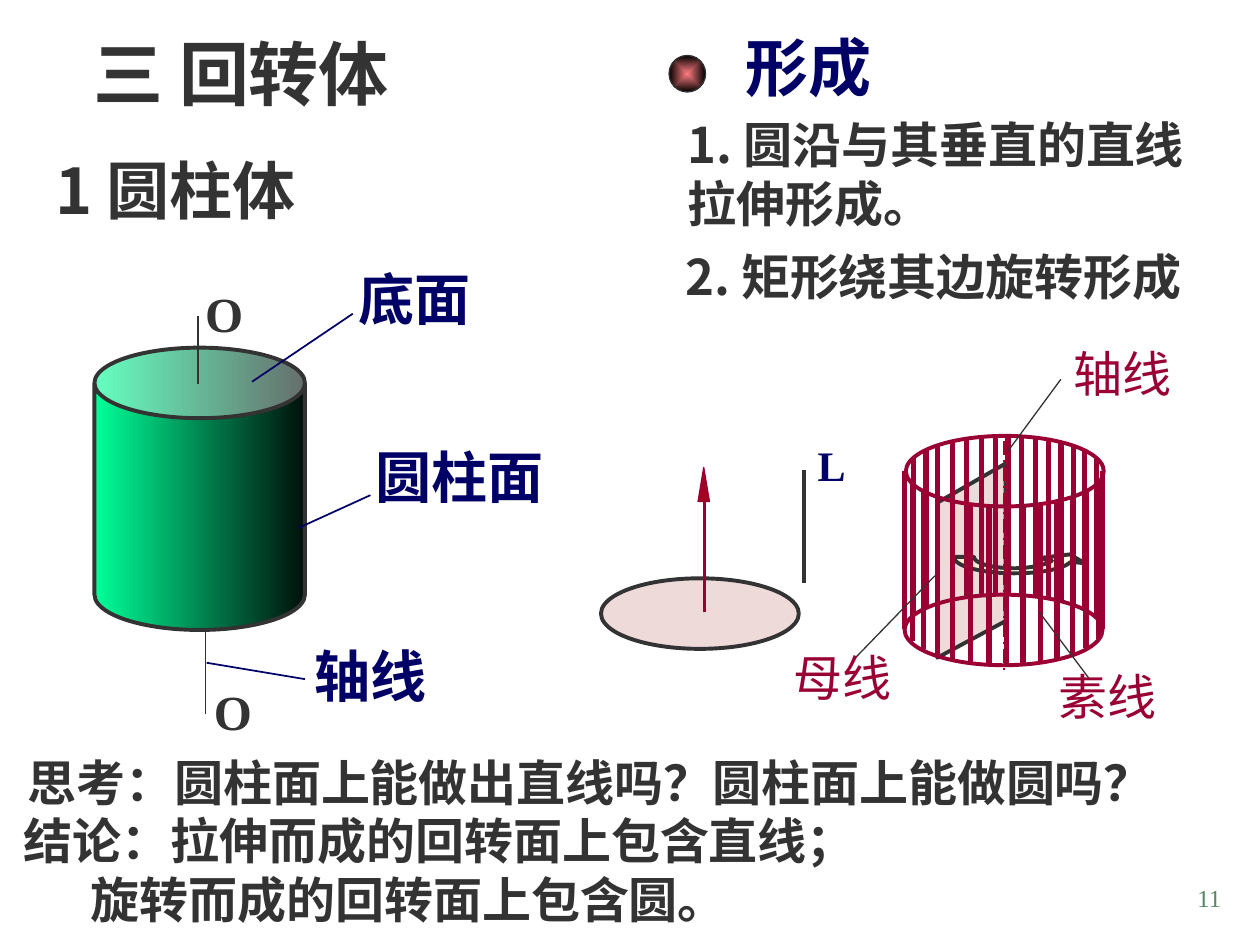
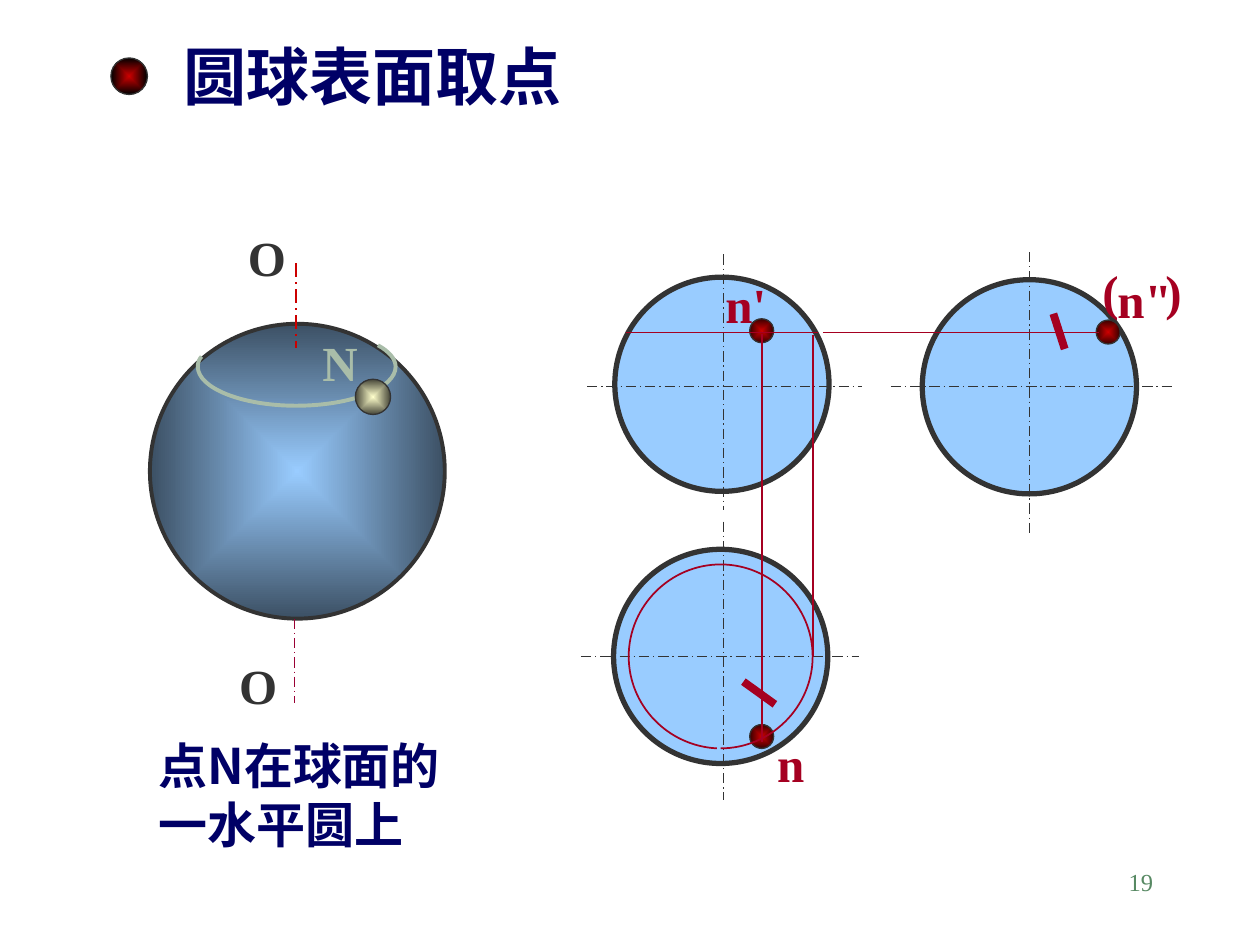
from math import sqrt

from lxml.etree import SubElement
from pptx import Presentation
from pptx.dml.color import RGBColor
from pptx.enum.dml import MSO_LINE
from pptx.enum.shapes import MSO_CONNECTOR, MSO_SHAPE
from pptx.enum.text import MSO_ANCHOR, MSO_AUTO_SIZE, PP_ALIGN
from pptx.oxml.ns import qn
from pptx.util import Pt

PX = 9144
SANS = "Noto Sans CJK SC"
SERIF = "Times New Roman"
COLORS = {
    "ink": "333333", "navy": "000066", "wine": "990033", "crimson": "A50021",
    "red": "CC0000", "pink": "E1B7B7", "coral": "FF7C80", "black": "000000",
    "green": "00FF99", "deep green": "00100A", "cream": "FFFFCC", "olive": "464638",
    "sky": "99CCFF", "slate": "3C5064", "sage": "A9BDA9", "footer": "578963",
    "dark red": "380000",
}


def write(page, spot, lines, size, ink="ink", font=SERIF, bold=True, box=None,
          align=PP_ALIGN.LEFT, indents=(0, 0), wrap=True, tab=None):
    box = box or page.shapes.add_textbox(0, 0, 0, 0)
    box.left, box.top, box.width, box.height = [value * PX for value in spot]
    frame = box.text_frame
    frame.word_wrap = wrap
    frame.auto_size = MSO_AUTO_SIZE.NONE if wrap else MSO_AUTO_SIZE.SHAPE_TO_FIT_TEXT
    frame.vertical_anchor = MSO_ANCHOR.TOP
    for index, line in enumerate(lines):
        para = frame.add_paragraph() if index else frame.paragraphs[0]
        para.alignment = align
        para.space_before = Pt(0)
        properties = para._p.get_or_add_pPr()
        properties.set("marL", str(indents[index] * PX))
        properties.set("indent", "0")
        SubElement(properties, qn("a:buNone"))
        if tab:
            stop = SubElement(SubElement(properties, qn("a:tabLst")), qn("a:tab"))
            stop.set("pos", str(tab * PX))
            stop.set("algn", "l")
        span = para.add_run()
        span.text = line
        span.font.size = Pt(size)
        span.font.bold = bold
        span.font.color.rgb = RGBColor.from_string(COLORS[ink])
        span.font.name = font
        SubElement(span._r.get_or_add_rPr(), qn("a:ea")).set("typeface", SANS)


def draw(page, kind, spot, fill=None, line="ink", width=1, alpha=None, dash=False, closed=True):
    if kind == "line":
        item = page.shapes.add_connector(MSO_CONNECTOR.STRAIGHT, *[value * PX for value in spot])
        SubElement(item._element.spPr, qn("a:effectLst"))
    else:
        if kind == "outline":
            builder = page.shapes.build_freeform(*spot[0], scale=PX)
            for step in spot[1:]:
                builder.add_line_segments(list(zip(step[::2], step[1::2])), close=False)
            if closed:
                builder.add_line_segments([], close=True)
            item = builder.convert_to_shape()
            steps = iter(list(item._element.iter(qn("a:lnTo"))))
            for step in spot[1:]:
                parts = [next(steps) for _ in step[::2]]
                if len(parts) == 3:
                    curve = SubElement(parts[0].getparent(), qn("a:cubicBezTo"))
                    parts[0].addprevious(curve)
                    for part in parts:
                        curve.append(part[0])
                        part.getparent().remove(part)
        else:
            item = page.shapes.add_shape(kind, *[value * PX for value in spot])
        item.shadow.inherit = False
        if fill is None:
            item.fill.background()
        elif isinstance(fill, tuple):
            item.fill.gradient()
            item.fill.gradient_angle = 0
            for stop, color in zip(item.fill.gradient_stops, fill):
                stop.color.rgb = RGBColor.from_string(COLORS[color])
            if kind == MSO_SHAPE.OVAL:
                gradient = item._element.spPr.find(qn("a:gradFill"))
                gradient.remove(gradient.find(qn("a:lin")))
                shade = SubElement(gradient, qn("a:path"))
                shade.set("path", "shape")
                focus = SubElement(shade, qn("a:fillToRect"))
                for side in "ltrb":
                    focus.set(side, "50000")
        else:
            item.fill.solid()
            item.fill.fore_color.rgb = RGBColor.from_string(COLORS[fill])
            if alpha:
                color = item._element.spPr.find(qn("a:solidFill"))[0]
                SubElement(color, qn("a:alpha")).set("val", str(alpha * 1000))
    item.line.color.rgb = RGBColor.from_string(COLORS[line])
    item.line.width = Pt(width)
    if dash:
        item.line.dash_style = MSO_LINE.LONG_DASH_DOT
    return item


deck = Presentation()
deck.slide_width = 1000 * PX
deck.slide_height = 750 * PX

page = deck.slides.add_slide(deck.slide_layouts[1])
write(page, (64, 19, 353, 77), ["三 回转体"], 40, font=SANS, box=page.shapes.title)
write(page, (9, 638, 882, 104),
      ["结论：拉伸而成的回转面上包含直线；", "旋转而成的回转面上包含圆。"],
      28, font=SANS, box=page.placeholders[1], indents=(0, 53))
write(page, (771, 696, 208, 50), ["11"], 14, "footer", bold=False, align=PP_ALIGN.RIGHT)

draw(page, "outline", [(744, 399), (744, 522), (798, 493), (798, 368)], "pink", width=2.25, alpha=50)
cylinder = draw(page, MSO_SHAPE.CAN, (75, 276, 167, 224), ("green", "deep green"), width=2.25)
cylinder.adjustments[0] = 0.335
draw(page, "line", (157, 305, 157, 251))
draw(page, "line", (163, 500, 163, 567))
for leader in [(200, 303, 280, 249), (237, 419, 294, 393), (164, 526, 242, 539)]:
    draw(page, "line", leader, line="navy")

for spot, text, size in [
    ((34, 115, 221, 70), "1 圆柱体", 36),
    ((536, 86, 425, 103), "1. 圆沿与其垂直的直线拉伸形成。", 28),
    ((534, 191, 449, 57), "2. 矩形绕其边旋转形成", 28),
    ((12, 592, 937, 57), "思考：圆柱面上能做出直线吗？圆柱面上能做圆吗？", 28),
]:
    write(page, spot, [text], size, font=SANS)
for spot, text, size in [
    ((582, 18, 235, 70), "形成", 36),
    ((240, 504, 176, 63), "轴线", 32),
    ((275, 205, 179, 63), "底面", 32),
    ((288, 346, 192, 63), "圆柱面", 32),
    ((639, 344, 42, 50), "L", 24),
]:
    write(page, spot, [text], size, "navy")
for left, top in [(153, 220), (160, 536)]:
    write(page, (left, top, 50, 57), ["O"], 28, wrap=False)

draw(page, MSO_SHAPE.OVAL, (477, 459, 157, 56), "pink", width=2.25, alpha=50)
draw(page, "line", (638, 463, 638, 373), width=2.25)
draw(page, MSO_SHAPE.OVAL, (531, 44, 29, 29), ("coral", "black"), width=0.75)
draw(page, "line", (559, 486, 559, 395), line="wine", width=1.5)
draw(page, MSO_SHAPE.ISOSCELES_TRIANGLE, (554, 371, 9, 27), "crimson", "wine", 0.75)

rotation_arrow = [(835, 445), (831, 448, 818, 451, 805, 451), (787, 451, 773, 447, 773, 442),
                  (757, 442), (757, 449, 778, 455, 805, 455), (825, 455, 843, 452, 850, 446),
                  (861, 447), (849, 440), (824, 443)]
draw(page, "outline", rotation_arrow, "cream", width=2.25, alpha=50)
draw(page, "line", (797, 350, 797, 536), line="crimson", dash=True)

front = [724, 733, 744, 756, 770, 785, 799, 812, 826, 839, 851, 862, 872]
back = [718, 725, 735, 744, 756, 767, 779, 790, 800, 811, 822, 832, 842, 852, 861, 870, 875]
for side, positions in [(1, front), (-1, back)]:
    for x in positions:
        top = round(374 + side * 28 * sqrt(max(0, 1 - ((x - 797) / 78) ** 2)))
        draw(page, "line", (x, top, x, top + 125), line="wine", width=3)
for left, top in [(719, 346), (718, 472)]:
    draw(page, MSO_SHAPE.OVAL, (left, top, 157, 56), line="wine", width=2.25)

for leader, left, top, text in [
    ((800, 358, 842, 301), 842, 268, "轴线"),
    ((742, 457, 678, 523), 620, 509, "母线"),
    ((825, 486, 864, 538), 830, 524, "素线"),
]:
    draw(page, "line", leader, width=0.75)
    write(page, (left, top, 98, 57), [text], 28, "wine", bold=False, wrap=False)

page = deck.slides.add_slide(deck.slide_layouts[5])
write(page, (136, 25, 519, 70), ["圆球表面取点"], 36, "navy", box=page.shapes.title)
write(page, (717, 683, 208, 50), ["19"], 14, "footer", bold=False, align=PP_ALIGN.RIGHT)
write(page, (116, 579, 308, 103), ["点N在球面的", "一水平圆上"], 28, "navy", SANS)
draw(page, MSO_SHAPE.OVAL, (88, 46, 29, 29), ("red", "black"), width=0.75)

for left, top in [(487, 436), (732, 222), (488, 220)]:
    draw(page, MSO_SHAPE.OVAL, (left, top, 170, 170), "sky", width=3)
for axis in [(466, 307, 684, 307), (707, 307, 931, 307), (817, 200, 817, 424),
             (574, 202, 574, 405), (574, 414, 574, 635), (461, 521, 682, 521)]:
    draw(page, "line", axis, width=0.75, dash=True)

for left, top in [(595, 253), (870, 254), (595, 575)]:
    draw(page, MSO_SHAPE.OVAL, (left, top, 19, 19), ("red", "dark red"), width=0.75)
for ray in [(497, 264, 649, 264), (645, 266, 645, 521), (605, 265, 605, 589), (653, 264, 872, 264)]:
    draw(page, "line", ray, line="crimson")
for tick in [(590, 541, 615, 559), (836, 249, 845, 277)]:
    draw(page, "line", tick, line="crimson", width=4.5)

draw(page, MSO_SHAPE.OVAL, (119, 257, 234, 234), ("sky", "slate"), width=2.25)
draw(page, "line", (235, 209, 235, 276), line="red", dash=True)
draw(page, "line", (234, 491, 234, 558), line="wine", width=0.75, dash=True)
for left, top, width, text, ink in [
    (187, 176, 50, "O", "ink"), (180, 515, 50, "O", "ink"), (246, 259, 48, "N", "sage"),
    (566, 213, 53, "n'", "crimson"), (607, 577, 42, "n", "crimson"),
    (877, 209, 63, 'n"', "crimson"),
]:
    write(page, (left, top, width, 57), [text], 28, ink, wrap=False)
write(page, (865, 203, 95, 57), ["(\t)"], 28, "crimson", tab=61)

circle_through_n = [(572, 594), (612, 594, 645, 561, 645, 521), (645, 481, 612, 448, 572, 448),
                    (532, 448, 499, 481, 499, 521), (499, 560, 530, 592, 569, 594)]
ring_on_sphere = [(160, 283), (158, 285, 157, 288, 157, 291), (157, 308, 192, 322, 235, 322),
                  (279, 322, 314, 308, 314, 291), (314, 285, 309, 279, 300, 274)]
draw(page, "outline", circle_through_n, line="crimson", closed=False)
draw(page, "outline", ring_on_sphere, line="sage", width=2.25, closed=False)
draw(page, MSO_SHAPE.OVAL, (282, 301, 28, 28), ("cream", "olive"), width=0.75)

deck.save("out.pptx")
